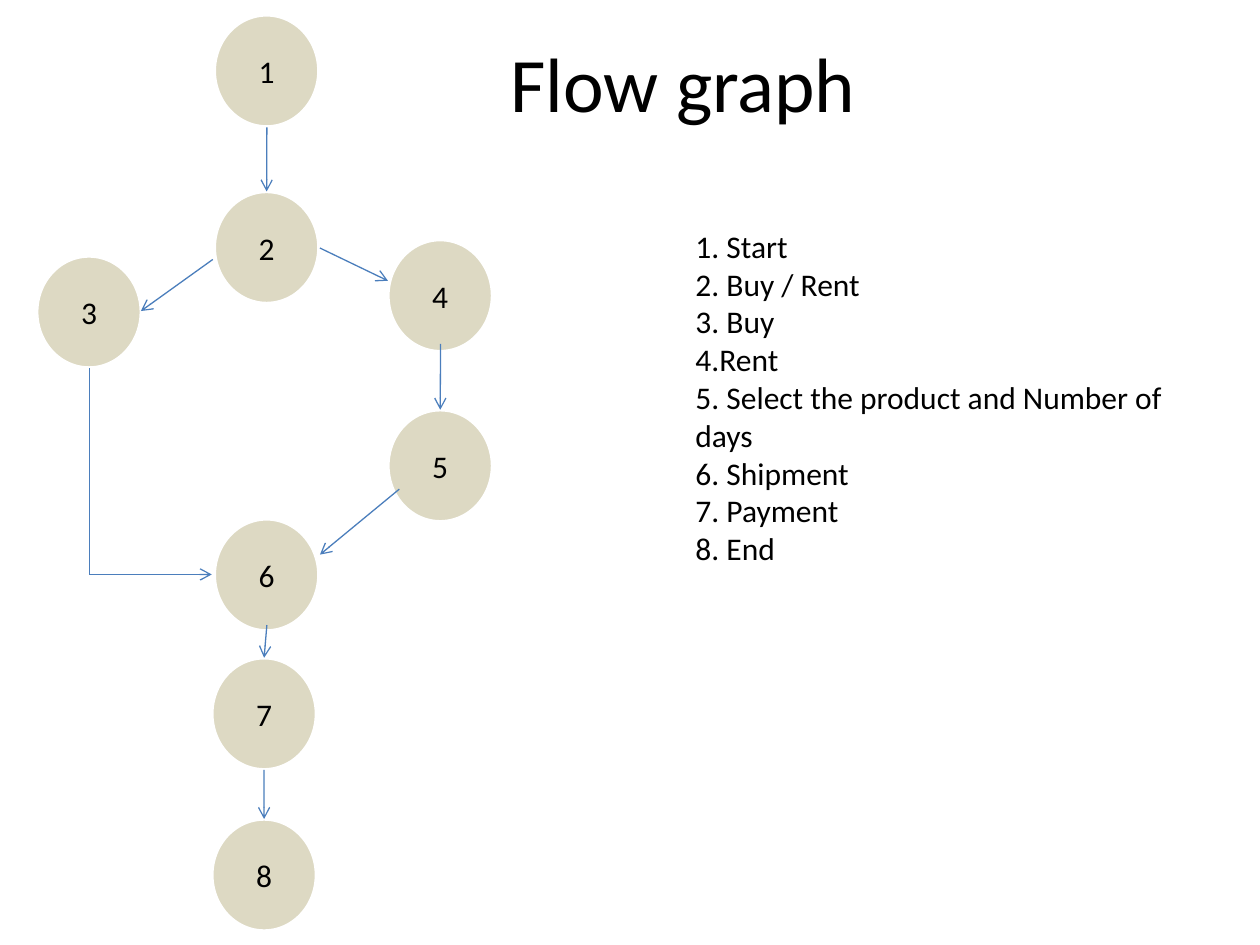
"""Build a slide with a numbered flow graph and its legend."""
from dataclasses import dataclass
from typing import Optional

import pptx
import pptx.dml.color
import pptx.enum.shapes
import pptx.enum.text
import pptx.oxml
import pptx.oxml.ns
import pptx.util
from pptx.util import Cm

FONT = "Calibri"
NODE_W, NODE_H = 2.11, 2.26


@dataclass
class Node:
    label: str
    x: float
    y: float


@dataclass
class Edge:
    x1: float
    y1: float
    x2: float
    y2: float
    into_top: Optional[str] = None
    arrow: bool = True


NODES = [
    Node("1", 4.32, 0.3),
    Node("2", 4.32, 3.86),
    Node("3", 0.74, 5.16),
    Node("4", 7.82, 4.83),
    Node("5", 7.82, 8.26),
    Node("7", 4.27, 13.26),
    Node("6", 4.32, 10.46),
    Node("8", 4.27, 16.51),
]
EDGES = [
    Edge(5.38, 2.57, 5.38, 3.86, "2"),
    Edge(6.45, 5, 7.82, 5.66),
    Edge(5.38, 12.6, 5.32, 13.26, "7"),
    Edge(5.32, 15.52, 5.32, 16.51, "8"),
    Edge(8.88, 6.93, 8.88, 8.26, "5"),
    Edge(4.29, 5.23, 2.84, 6.27),
    Edge(8.05, 9.86, 6.45, 11.18),
    Edge(1.8, 11.58, 4.27, 11.58),
    Edge(1.8, 7.42, 1.8, 11.58, arrow=False),
]
LEGEND = [
    "1. Start",
    "2. Buy / Rent",
    "3. Buy",
    "4.Rent",
    "5. Select the product and Number of days",
    "6. Shipment",
    "7. Payment",
    "8. End",
]


def rgb(hex_code: str) -> pptx.dml.color.RGBColor:
    return pptx.dml.color.RGBColor.from_string(hex_code)


def format_paragraph(p, size: float, align: str) -> None:
    p.alignment = pptx.enum.text.PP_ALIGN[align]
    p.font.name = FONT
    p.font.size = pptx.util.Pt(size)
    p.font.color.rgb = rgb("000000")


def draw_title(s, text: str) -> None:
    sp = s.shapes.title
    sp.left, sp.top, sp.width, sp.height = Cm(2.34), Cm(0.05), Cm(22.86), Cm(3.18)
    sp.text_frame.text = text
    sp.text_frame.vertical_anchor = pptx.enum.text.MSO_ANCHOR.MIDDLE
    format_paragraph(sp.text_frame.paragraphs[0], 44, "CENTER")


def draw_node(s, node: Node):
    sp = s.shapes.add_shape(pptx.enum.shapes.MSO_SHAPE.OVAL,
                            Cm(node.x), Cm(node.y), Cm(NODE_W), Cm(NODE_H))
    sp.shadow.inherit = False
    sp.fill.solid()
    sp.fill.fore_color.rgb = rgb("DDD9C3")
    sp.line.color.rgb = rgb("FFFFFF")
    sp.line.width = pptx.util.Pt(2)
    tf = sp.text_frame
    tf.text = node.label
    tf.vertical_anchor = pptx.enum.text.MSO_ANCHOR.MIDDLE
    format_paragraph(tf.paragraphs[0], 18, "CENTER")
    return sp


def draw_edge(s, edge: Edge, nodes: dict) -> None:
    cxn = s.shapes.add_connector(pptx.enum.shapes.MSO_CONNECTOR.STRAIGHT,
                                 Cm(edge.x1), Cm(edge.y1), Cm(edge.x2), Cm(edge.y2))
    if edge.into_top:
        cxn.end_connect(nodes[edge.into_top], 0)
    cxn.line.color.rgb = rgb("4B7EBC")
    cxn.line.width = pptx.util.Pt(0.75)
    sp_pr = cxn._element.spPr
    if edge.arrow:
        ln = sp_pr.find(pptx.oxml.ns.qn("a:ln"))
        tail = pptx.oxml.parse_xml(f'<a:tailEnd {pptx.oxml.ns.nsdecls("a")} type="arrow"/>')
        ln.append(tail)
    sp_pr.append(pptx.oxml.parse_xml(f'<a:effectLst {pptx.oxml.ns.nsdecls("a")}/>'))


def draw_legend(s, lines: list[str]) -> None:
    tf = s.shapes.add_textbox(Cm(13.77), Cm(4.45), Cm(10.16), Cm(7.19)).text_frame
    tf.word_wrap = True
    tf.auto_size = pptx.enum.text.MSO_AUTO_SIZE.SHAPE_TO_FIT_TEXT
    tf.text = "\n".join(lines)
    for p in tf.paragraphs:
        format_paragraph(p, 18, "LEFT")


def main() -> None:
    prs = pptx.Presentation()
    prs.slide_width, prs.slide_height = Cm(25.4), Cm(19.05)
    s = prs.slides.add_slide(prs.slide_layouts.get_by_name("Title Only"))
    draw_title(s, "Flow graph")
    nodes = {node.label: draw_node(s, node) for node in NODES}
    for edge in EDGES:
        draw_edge(s, edge, nodes)
    draw_legend(s, LEGEND)
    prs.save("out.pptx")


if __name__ == "__main__":
    main()
